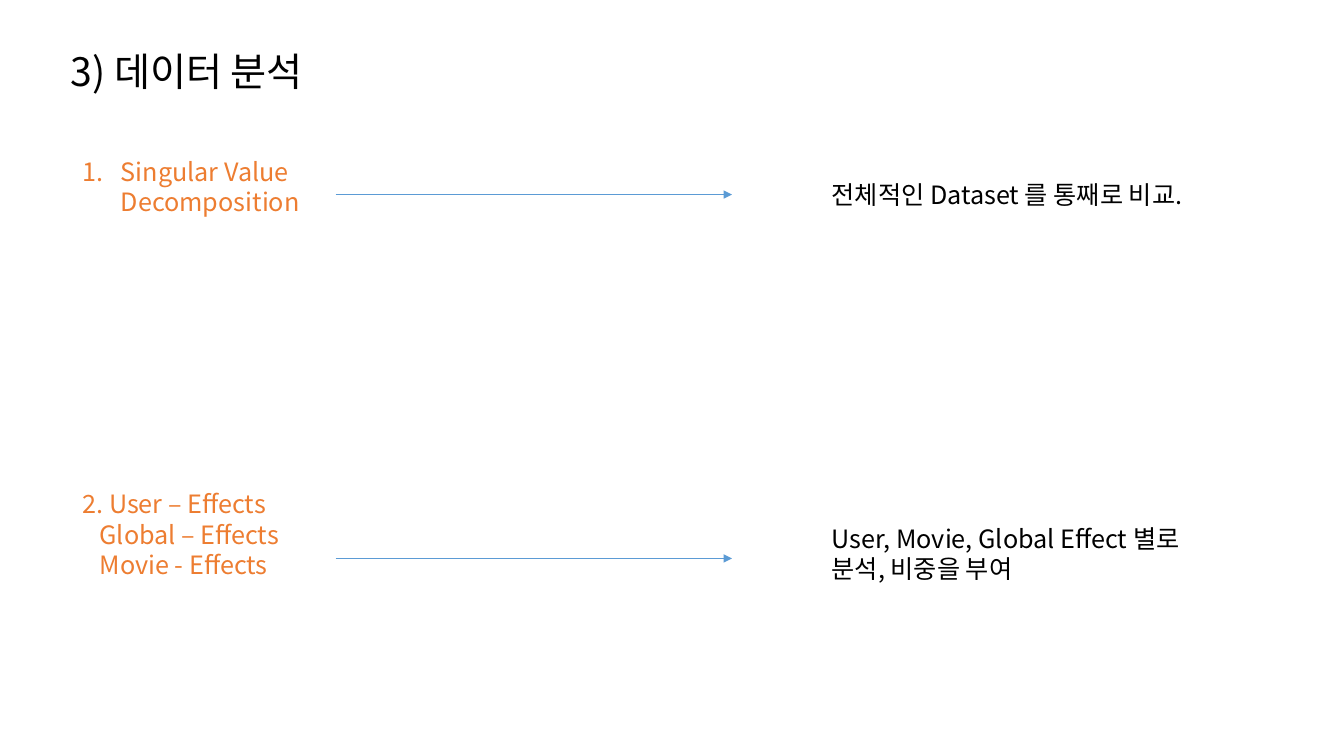
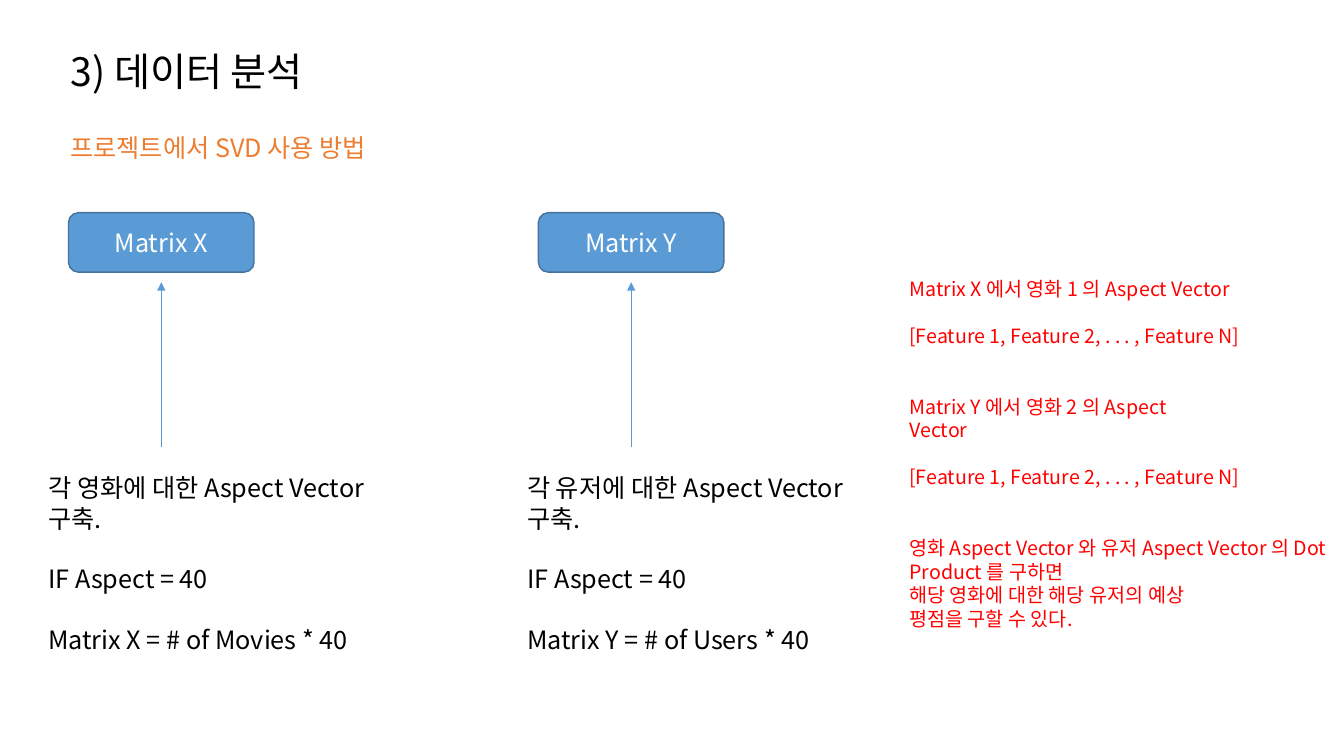
from lxml.etree import SubElement
from pptx import Presentation
from pptx.dml.color import RGBColor
from pptx.enum.shapes import MSO_CONNECTOR, MSO_SHAPE
from pptx.enum.text import MSO_ANCHOR, PP_ALIGN
from pptx.oxml.ns import qn
from pptx.util import Inches, Pt

FONT = "Noto Sans CJK KR"
COLORS = {
    "text": "000000",
    "accent": "ED7D31",
    "blue": "5B9BD5",
    "blue_edge": "43739E",
    "red": "FF0000",
    "white": "FFFFFF",
}
LINE_HEIGHT = 1.2  # height of a text line as a multiple of its font size


def rgb(name):
    """Return the palette colour called name."""
    return RGBColor.from_string(COLORS[name])


def style(paragraph, size, color):
    """Set the font of a whole paragraph."""
    font = paragraph.font
    font.name, font.size = FONT, Pt(size)
    font.color.rgb = rgb(color)


def add_text(slide, box, lines, size=18, color="text"):
    """Write lines, each a string or (string, empty lines above), in a box."""
    frame = slide.shapes.add_textbox(*map(Inches, box)).text_frame
    frame.word_wrap = True
    for index, line in enumerate(lines):
        words, gap = (line, 0) if isinstance(line, str) else line
        paragraph = frame.paragraphs[0] if index == 0 else frame.add_paragraph()
        paragraph.text = words
        style(paragraph, size, color)
        if gap:
            paragraph.space_before = Pt(round(gap * size * LINE_HEIGHT, 1))
    return frame.paragraphs


def indent(paragraph, left, first=0.0):
    """Indent a paragraph, and its first line relative to the rest."""
    properties = paragraph._p.get_or_add_pPr()
    properties.set("marL", str(Inches(left)))
    properties.set("indent", str(Inches(first)))
    return properties


def add_number(paragraph):
    """Give a paragraph an automatic number with a hanging indent."""
    properties = indent(paragraph, 0.38, -0.38)
    number = properties.makeelement(qn("a:buAutoNum"), {"type": "arabicPeriod"})
    properties.insert_element_before(number, "a:tabLst", "a:defRPr", "a:extLst")


def add_arrow(slide, start, end):
    """Draw a thin blue arrow from start to end."""
    arrow = slide.shapes.add_connector(
        MSO_CONNECTOR.STRAIGHT, *map(Inches, (*start, *end)))
    arrow.line.color.rgb = rgb("blue")
    arrow.line.width = Pt(0.5)
    SubElement(arrow.line._get_or_add_ln(), qn("a:tailEnd"), type="triangle")
    SubElement(arrow._element.spPr, qn("a:effectLst"))


def add_page(deck):
    """Add a blank slide with the shared title."""
    slide = deck.slides.add_slide(deck.slide_layouts[6])
    add_text(slide, (0.6, 0.42, 5.14, 0.57), ["3) 데이터 분석"], 28)
    return slide


def add_method(slide, box, method, arrow_drop, meaning, meaning_drop):
    """Place a method at the left of a box, and an arrow to its meaning."""
    left, top, width, height = box
    paragraphs = add_text(slide, (left, top, 3.64, height), method, color="accent")
    arrow_y = top + arrow_drop
    add_arrow(slide, (left + 2.61, arrow_y), (left + 6.54, arrow_y))
    meaning_left = 7.43
    add_text(slide, (left + meaning_left, top + meaning_drop,
                     width - meaning_left, height), meaning)
    return paragraphs


def add_matrix(slide, box, label, note_left, note_width, note):
    """Place a labelled matrix at the top of a box, with a note pointing to it."""
    left, top, width, height = box
    matrix = slide.shapes.add_shape(
        MSO_SHAPE.ROUNDED_RECTANGLE, *map(Inches, (left, top, width, 0.59)))
    matrix.shadow.inherit = False
    matrix.fill.solid()
    matrix.fill.fore_color.rgb = rgb("blue")
    matrix.line.color.rgb = rgb("blue_edge")
    matrix.line.width = Pt(1)
    matrix.text_frame.vertical_anchor = MSO_ANCHOR.MIDDLE
    caption = matrix.text_frame.paragraphs[0]
    caption.text = label
    caption.alignment = PP_ALIGN.CENTER
    style(caption, 18, "white")

    center = left + width / 2
    add_arrow(slide, (center, top + 2.32), (center, top + 0.69))
    note_drop = 2.53
    add_text(slide, (note_left, top + note_drop, note_width, height - note_drop), note)


def build_methods(deck):
    """Build the slide that compares the two analysis methods."""
    slide = add_page(deck)
    svd = add_method(
        slide, (0.72, 1.5, 11.45, 0.7), ["Singular Value Decomposition"], 0.43,
        ["전체적인 Dataset 를 통째로 비교."], 0.23)
    add_number(svd[0])
    effects = add_method(
        slide, (0.72, 4.8, 11.74, 1), 
        ["2. User – Effects", "Global – Effects", "Movie - Effects"], 0.74,
        ["User, Movie, Global Effect 별로", "분석, 비중을 부여"], 0.34)
    for effect in effects[1:]:
        indent(effect, 0.17)


def build_svd_usage(deck):
    """Build the slide on how the project uses SVD."""
    slide = add_page(deck)
    add_text(slide, (0.6, 1.26, 3.61, 0.4), ["프로젝트에서 SVD 사용 방법"],
             color="accent")
    matrices = [
        ("X", 0.68, 0.38, 3.64, "영화", "Movies"),
        ("Y", 5.34, 5.13, 3.37, "유저", "Users"),
    ]
    for name, left, note_left, note_width, subject, rows in matrices:
        add_matrix(slide, (left, 2.11, 1.84, 4.45), f"Matrix {name}",
                   note_left, note_width, [
                       f"각 {subject}에 대한 Aspect Vector 구축.",
                       ("IF Aspect = 40", 1),
                       (f"Matrix {name} = # of {rows} * 40", 1),
                   ])
    features = ("[Feature 1, Feature 2, . . . , Feature N]", 1)
    add_text(slide, (8.92, 2.7, 4.42, 4.11), [
        "Matrix X 에서 영화 1 의 Aspect Vector",
        features,
        ("Matrix Y 에서 영화 2 의 Aspect", 2),
        "Vector",
        features,
        ("영화 Aspect Vector 와 유저 Aspect Vector 의 Dot Product 를 구하면", 2),
        "해당 영화에 대한 해당 유저의 예상",
        "평점을 구할 수 있다.",
    ], 14, "red")


deck = Presentation()
deck.slide_width, deck.slide_height = Inches(13.33), Inches(7.5)
build_methods(deck)
build_svd_usage(deck)
deck.save("out.pptx")
